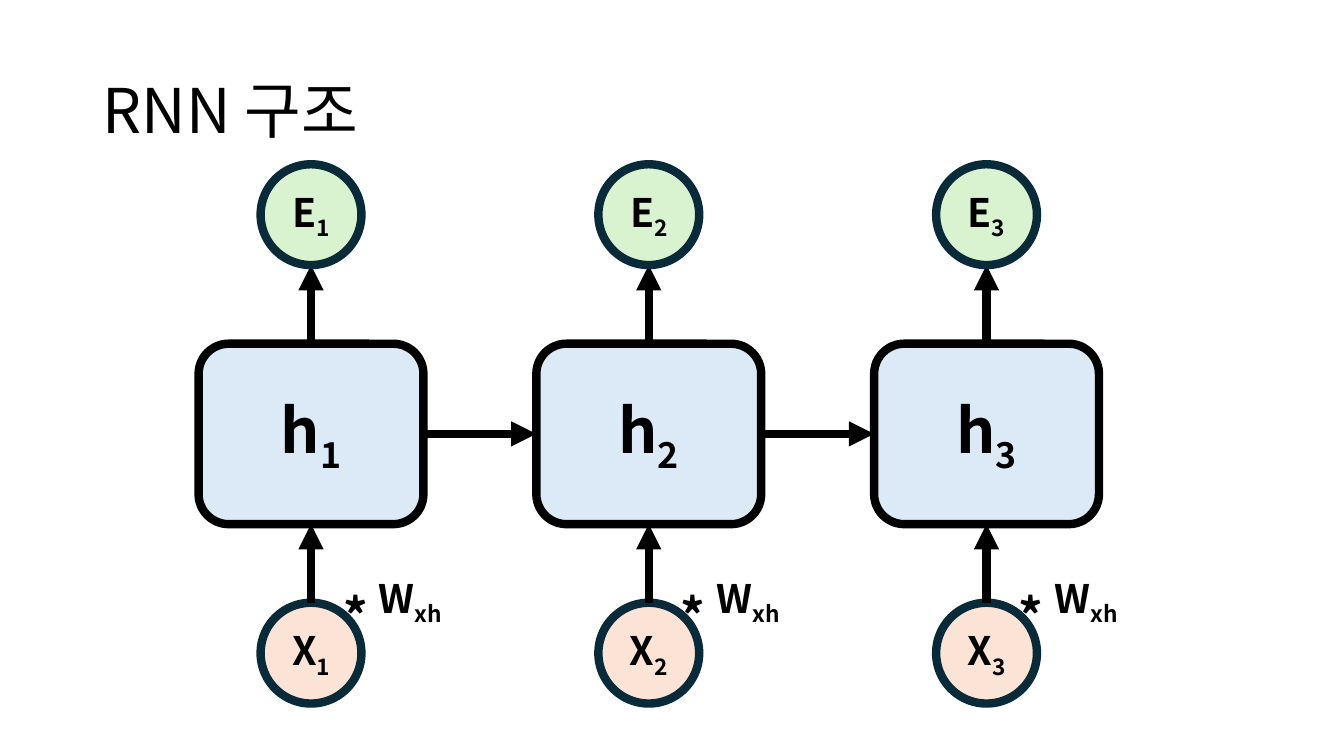
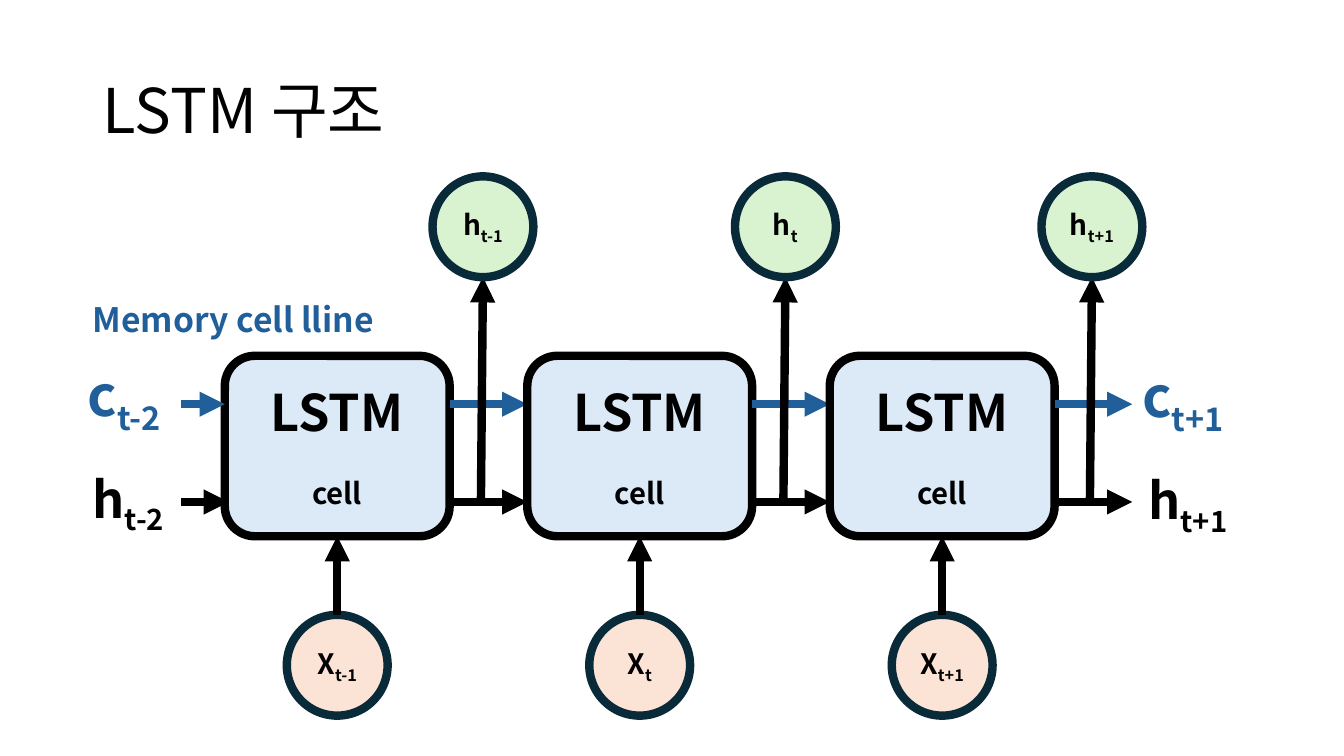
from dataclasses import dataclass

from lxml.etree import SubElement
from pptx import Presentation
from pptx.dml.color import RGBColor
from pptx.enum.shapes import MSO_CONNECTOR as Connector, MSO_SHAPE as Preset
from pptx.enum.text import MSO_ANCHOR as Anchor, MSO_AUTO_SIZE as AutoSize, PP_ALIGN as Align
from pptx.oxml.ns import qn
from pptx.util import Inches, Pt


@dataclass(frozen=True)
class Theme:
    font: str = "Noto Sans CJK KR"
    ink: str = "000000"
    memory: str = "215F9A"
    cell: str = "DCEAF7"
    output: str = "D9F2D0"
    input: str = "FBE3D6"
    ring: str = "092A39"
    stroke: float = 6
    title: int = 44
    star: int = 60
    state: int = 44
    node: int = 28
    cell_name: int = 36
    small_node: int = 20
    memory_state: int = 40
    caption: int = 24


THEME = Theme()

# Content
RNN_TITLE = "RNN 구조"
RNN_STEPS = ["1", "2", "3"]
LSTM_TITLE = "LSTM 구조"
LSTM_STEPS = [("t-1", 4.79), ("t", 7.79), ("t+1", 10.83)]  # step, output centre
MEMORY_CAPTION = "Memory cell lline"
# letter, step, left, top, width, size, colour
LSTM_STATES = [
    ("h", "t-2", 0.82, 4.59, 1.28, THEME.cell_name, THEME.ink),
    ("c", "t-2", 0.77, 3.53, 0.97, THEME.memory_state, THEME.memory),
    ("h", "t+1", 11.29, 4.61, 1.28, THEME.cell_name, THEME.ink),
    ("c", "t+1", 11.23, 3.54, 1.28, THEME.memory_state, THEME.memory),
]

# Geometry in inches
CELL_WIDTH, CELL_HEIGHT = 2.23, 1.79
CIRCLE = 1
RNN_LEFT, RNN_PITCH, RNN_TOP = 1.97, 3.35, 3.41
LSTM_LEFT, LSTM_PITCH, LSTM_TOP = 2.23, 3, 3.53
ARROW_GAP = 0.78
MEMORY_Y, HIDDEN_Y = 4.01, 4.98
LINK = LSTM_PITCH - CELL_WIDTH


# Text: a paragraph is a list of (text, size, is subscript)
def with_index(letter, index, size):
    return [(letter, size, False), (index, size, True)]


def style_run(run, size, colour, bold=True, subscript=False):
    run.font.size = Pt(size)
    run.font.bold = bold
    run.font.name = THEME.font
    run.font.color.rgb = RGBColor.from_string(colour)
    properties = run.font._element
    SubElement(properties, qn("a:ea")).set("typeface", THEME.font)
    if subscript:
        properties.set("baseline", "-25000")


def write(text_frame, paragraphs, colour=THEME.ink, align=Align.LEFT):
    for number, parts in enumerate(paragraphs):
        paragraph = text_frame.add_paragraph() if number else text_frame.paragraphs[0]
        paragraph.alignment = align
        for text, size, subscript in parts:
            run = paragraph.add_run()
            run.text = text
            style_run(run, size, colour, subscript=subscript)


def add_label(slide, left, top, width, height, parts, colour=THEME.ink, wrap=True):
    box = slide.shapes.add_textbox(Inches(left), Inches(top), Inches(width), Inches(height))
    box.text_frame.word_wrap = wrap
    write(box.text_frame, [parts], colour)


# Diagram parts
def add_node(slide, preset, left, top, width, height, fill, outline, paragraphs):
    shape = slide.shapes.add_shape(
        preset, Inches(left), Inches(top), Inches(width), Inches(height))
    shape.shadow.inherit = False
    shape.fill.solid()
    shape.fill.fore_color.rgb = RGBColor.from_string(fill)
    shape.line.color.rgb = RGBColor.from_string(outline)
    shape.line.width = Pt(THEME.stroke)
    shape.text_frame.vertical_anchor = Anchor.MIDDLE
    write(shape.text_frame, paragraphs, align=Align.CENTER)


def add_cell(slide, left, top, paragraphs):
    add_node(slide, Preset.ROUNDED_RECTANGLE, left, top, CELL_WIDTH, CELL_HEIGHT,
             THEME.cell, THEME.ink, paragraphs)


def add_circle(slide, centre, top, fill, parts):
    add_node(slide, Preset.OVAL, centre - CIRCLE / 2, top, CIRCLE, CIRCLE,
             fill, THEME.ring, [parts])


def add_arrow(slide, start_x, start_y, end_x, end_y, colour=THEME.ink):
    arrow = slide.shapes.add_connector(
        Connector.STRAIGHT, Inches(start_x), Inches(start_y), Inches(end_x), Inches(end_y))
    arrow.line.color.rgb = RGBColor.from_string(colour)
    arrow.line.width = Pt(THEME.stroke)
    properties = arrow._element.spPr
    SubElement(properties.find(qn("a:ln")), qn("a:tailEnd")).set("type", "triangle")
    SubElement(properties, qn("a:effectLst"))


def add_input(slide, centre, cell_top, parts):
    cell_bottom = cell_top + CELL_HEIGHT
    circle_top = cell_bottom + ARROW_GAP
    add_circle(slide, centre, circle_top, THEME.input, parts)
    add_arrow(slide, centre, circle_top, centre, cell_bottom)


def add_titled_slide(presentation, text):
    slide = presentation.slides.add_slide(presentation.slide_layouts[5])
    title = slide.shapes.title
    title.left, title.top = Inches(0.92), Inches(0.4)
    title.width, title.height = Inches(11.5), Inches(1.45)
    title.text_frame.text = text
    title.text_frame.auto_size = AutoSize.NONE
    title.text_frame.vertical_anchor = Anchor.MIDDLE
    paragraph = title.text_frame.paragraphs[0]
    paragraph.alignment = Align.LEFT
    paragraph.line_spacing = 0.9
    style_run(paragraph.runs[0], THEME.title, THEME.ink, bold=False)
    return slide


# Slides
def build_rnn(presentation):
    slide = add_titled_slide(presentation, RNN_TITLE)
    weight = [("* ", THEME.star, True), *with_index("W", "xh", THEME.node)]
    output_top = RNN_TOP - ARROW_GAP - CIRCLE
    middle = RNN_TOP + CELL_HEIGHT / 2
    for number, step in enumerate(RNN_STEPS):
        left = RNN_LEFT + number * RNN_PITCH
        centre = left + CELL_WIDTH / 2
        add_cell(slide, left, RNN_TOP, [with_index("h", step, THEME.state)])
        add_arrow(slide, centre, RNN_TOP, centre, RNN_TOP - ARROW_GAP)
        add_circle(slide, centre, output_top, THEME.output,
                   with_index("E", step, THEME.node))
        add_input(slide, centre, RNN_TOP, with_index("X", step, THEME.node))
        add_label(slide, centre + 0.22, RNN_TOP + CELL_HEIGHT, 1.35, 0.77, weight, wrap=False)
        if number:
            add_arrow(slide, left - RNN_PITCH + CELL_WIDTH, middle, left, middle)


def build_lstm(presentation):
    slide = add_titled_slide(presentation, LSTM_TITLE)
    cell_text = [[("LSTM", THEME.cell_name, False)], [("cell", THEME.cell_name, True)]]
    lanes = [(MEMORY_Y, THEME.memory, 0), (HIDDEN_Y, THEME.ink, 0.04)]
    for number, (step, output_centre) in enumerate(LSTM_STEPS):
        left = LSTM_LEFT + number * LSTM_PITCH
        right = left + CELL_WIDTH
        add_cell(slide, left, LSTM_TOP, cell_text)
        add_input(slide, left + CELL_WIDTH / 2, LSTM_TOP,
                  with_index("X", step, THEME.small_node))
        for lane_y, colour, _ in lanes:
            add_arrow(slide, right, lane_y, right + LINK, lane_y, colour)
        add_arrow(slide, output_centre - 0.02, HIDDEN_Y, output_centre, 2.75)
        add_circle(slide, output_centre, 1.75, THEME.output,
                   with_index("h", step, THEME.small_node))

    # States entering and leaving the chain
    for lane_y, colour, overlap in lanes:
        add_arrow(slide, 1.8, lane_y, LSTM_LEFT + overlap, lane_y, colour)
    for letter, step, left, top, width, size, colour in LSTM_STATES:
        add_label(slide, left, top, width, 0.77, with_index(letter, step, size), colour)
    add_label(slide, 0.82, 2.92, 3.55, 0.5,
              [(MEMORY_CAPTION, THEME.caption, False)], THEME.memory)


def main():
    presentation = Presentation()
    presentation.slide_width, presentation.slide_height = Inches(13.33), Inches(7.5)
    build_rnn(presentation)
    build_lstm(presentation)
    presentation.save("out.pptx")


if __name__ == "__main__":
    main()
